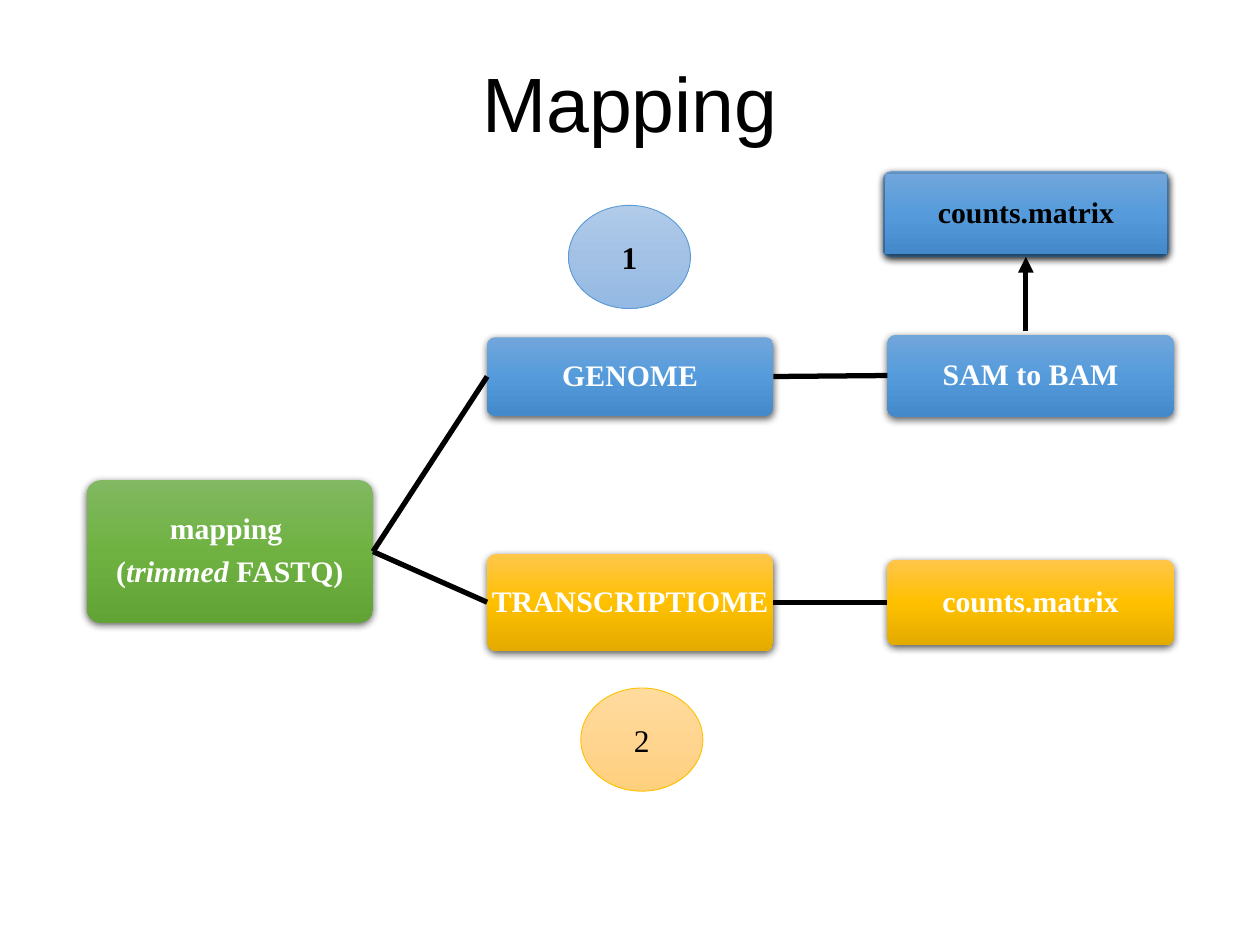
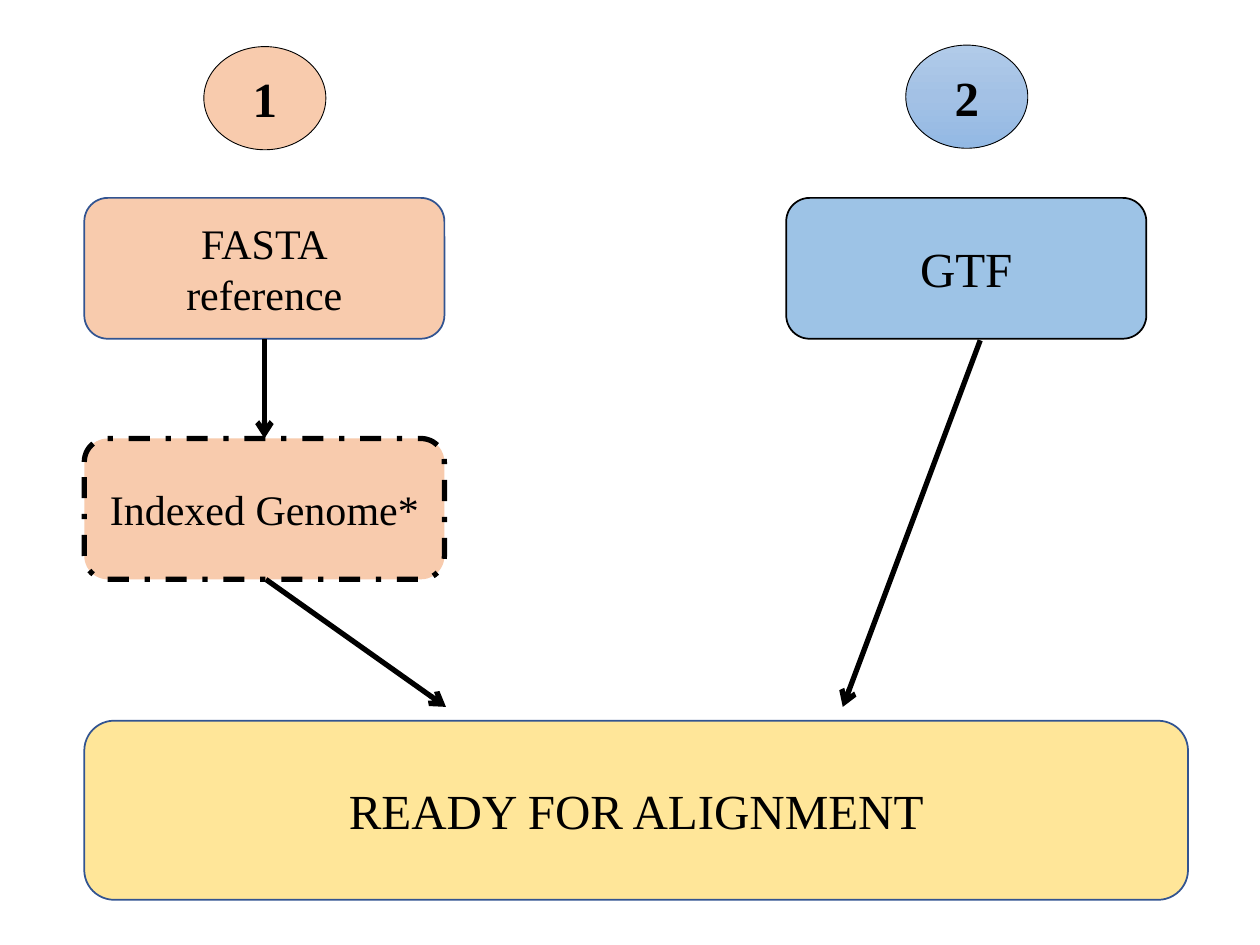
"""Build two slides on read mapping: the mapping routes and the alignment inputs."""
from lxml import etree
from pptx import Presentation
from pptx.dml.color import RGBColor
from pptx.enum.dml import MSO_LINE
from pptx.enum.shapes import MSO_CONNECTOR, MSO_SHAPE
from pptx.enum.text import MSO_ANCHOR, PP_ALIGN
from pptx.oxml.ns import qn
from pptx.util import Cm, Pt

RECT = MSO_SHAPE.RECTANGLE
ROUND = MSO_SHAPE.ROUNDED_RECTANGLE
OVAL = MSO_SHAPE.OVAL
STRAIGHT = MSO_CONNECTOR.STRAIGHT
DASH_DOT = MSO_LINE.DASH_DOT
MIDDLE = MSO_ANCHOR.MIDDLE
CENTER = PP_ALIGN.CENTER

rgb = RGBColor.from_string
SERIF = "Times New Roman"
BLACK, WHITE, NAVY = "000000", "FFFFFF", "325491"
PEACH, SKY, CREAM = "F8CBAD", "9DC3E6", "FFE699"
GREEN = ("81B861", "6FB242", "62A336")
BLUE = ("71A6DB", "559BDB", "448ACA")
GOLD = ("FFC64B", "FFC000", "E3AB00")
PALE_BLUE = ("B1CBE9", "A3C1E5", "93B9E4")
PALE_GOLD = ("FFDB9E", "FFD590", "FFD07C")


def add_box(s, text, x, y, w, h, kind=ROUND, fill=None, line=None, weight=1, dash=None,
            corner=None, shadow=False, inset=None, size=18, color=BLACK, bold=False,
            font=SERIF, spacing=None, after=0):
    """Add a shape with centred text; underscores enclose italics."""
    sp = s.shapes.add_shape(kind, Cm(x), Cm(y), Cm(w), Cm(h))
    sp.shadow.inherit = False
    spPr = sp._element.spPr
    if fill is None:
        sp.fill.background()
    elif isinstance(fill, str):
        sp.fill.solid()
        sp.fill.fore_color.rgb = rgb(fill)
    else:
        sp.fill.gradient()
        sp.fill.gradient_angle = 270
        stops = spPr.find(".//" + qn("a:gsLst"))
        for gs in list(stops):
            stops.remove(gs)
        for pos, stop in zip((0, 50000, 100000), fill):
            gs = etree.SubElement(stops, qn("a:gs"), pos=str(pos))
            etree.SubElement(gs, qn("a:srgbClr"), val=stop)
    if line:
        sp.line.color.rgb = rgb(line)
        sp.line.width = Pt(weight)
        if dash:
            sp.line.dash_style = dash
    else:
        sp.line.fill.background()
    if corner is not None:
        sp.adjustments[0] = corner
    if shadow:
        outer = etree.SubElement(spPr.find(qn("a:effectLst")), qn("a:outerShdw"),
                                 blurRad=str(Pt(4.5)), dist=str(Pt(1.5)),
                                 dir="5400000", rotWithShape="0")
        clr = etree.SubElement(outer, qn("a:srgbClr"), val=BLACK)
        etree.SubElement(clr, qn("a:alpha"), val="63000")
    tf = sp.text_frame
    tf.word_wrap = True
    tf.vertical_anchor = MIDDLE
    if inset is not None:
        tf.margin_left = tf.margin_right = tf.margin_top = tf.margin_bottom = Cm(inset)
    for i, row in enumerate(text.split("\n") if text else []):
        p = tf.add_paragraph() if i else tf.paragraphs[0]
        p.alignment = CENTER
        p.line_spacing = spacing
        p.space_after = Pt(after)
        for j, part in enumerate(row.split("_")):
            r = p.add_run()
            r.text = part
            r.font.name = font
            r.font.size = Pt(size)
            r.font.bold = bold
            r.font.italic = j % 2 == 1
            r.font.color.rgb = rgb(color)


def add_line(s, x1, y1, x2, y2, head=None):
    """Add a thick black line with an optional arrowhead at its end."""
    c = s.shapes.add_connector(STRAIGHT, Cm(x1), Cm(y1), Cm(x2), Cm(y2))
    c.line.color.rgb = rgb(BLACK)
    c.line.width = Pt(3)
    if head:
        etree.SubElement(c.line._get_or_add_ln(), qn("a:tailEnd"), type=head)
    etree.SubElement(c._element.spPr, qn("a:effectLst"))


prs = Presentation()
prs.slide_width, prs.slide_height = Cm(25.4), Cm(19.05)
blank = prs.slide_layouts[6]
BADGE_W, BADGE_H = 2.46, 2.08

s = prs.slides.add_slide(blank)
add_box(s, "Mapping", 1.75, 0.76, 21.9, 2.82, kind=RECT, size=44, font="Arial", spacing=0.9)

STEP_W = 5.77
step = dict(shadow=True, inset=0, size=17, bold=True, spacing=0.9, after=6)
for text, x, y, h, fill in [
    ("mapping \n(_trimmed_ FASTQ)", 1.75, 9.68, 2.87, GREEN),
    ("GENOME", 9.82, 6.8, 1.58, BLUE),
    ("SAM to BAM", 17.89, 6.75, 1.65, BLUE),
    ("TRANSCRIPTIOME", 9.82, 11.16, 1.97, GOLD),
    ("counts.matrix", 17.89, 11.28, 1.73, GOLD),
    ("", 17.8, 3.45, 1.73, BLUE),
]:
    add_box(s, text, x, y, STEP_W, h, fill=fill, corner=0.1, color=WHITE, **step)
add_box(s, "counts.matrix", 17.85, 3.5, 5.67, 1.63, kind=RECT, fill=BLUE, **step)

for text, x, y, fill, line, bold in [
    ("1", 11.46, 4.14, PALE_BLUE, "5B9BD5", True),
    ("2", 11.71, 13.87, PALE_GOLD, "FFC000", False),
]:
    add_box(s, text, x, y, BADGE_W, BADGE_H, kind=OVAL, fill=fill, line=line,
            weight=0.5, bold=bold)

for ends in [
    (7.52, 11.12, 9.82, 7.59),
    (15.59, 7.59, 17.89, 7.57),
    (7.52, 11.12, 9.82, 12.14),
    (15.59, 12.14, 17.89, 12.14),
]:
    add_line(s, *ends)
add_line(s, 20.68, 6.68, 20.68, 5.18, head="triangle")

s = prs.slides.add_slide(blank)
INPUT_W, INPUT_H = 7.26, 2.84
for text, x, y, fill, size, outline in [
    ("FASTA\nreference", 1.7, 3.99, PEACH, 24, dict(line=NAVY)),
    ("GTF", 15.85, 3.99, SKY, 28, dict(line=BLACK)),
    ("Indexed Genome*", 1.7, 8.84, PEACH, 24, dict(line=BLACK, weight=3, dash=DASH_DOT)),
]:
    add_box(s, text, x, y, INPUT_W, INPUT_H, fill=fill, size=size, **outline)
add_box(s, "READY FOR ALIGNMENT", 1.7, 14.53, 22.25, 3.61, fill=CREAM, line=NAVY, size=28)

for text, x, y, fill in [("1", 4.11, 0.94, PEACH), ("2", 18.26, 0.91, PALE_BLUE)]:
    add_box(s, text, x, y, BADGE_W, BADGE_H, kind=OVAL, fill=fill, line=BLACK,
            weight=0.5, size=28, bold=True)

for ends in [
    (5.33, 6.83, 5.33, 8.84),
    (19.76, 6.86, 16.99, 14.25),
    (5.36, 11.68, 8.99, 14.25),
]:
    add_line(s, *ends, head="arrow")

prs.save("out.pptx")
